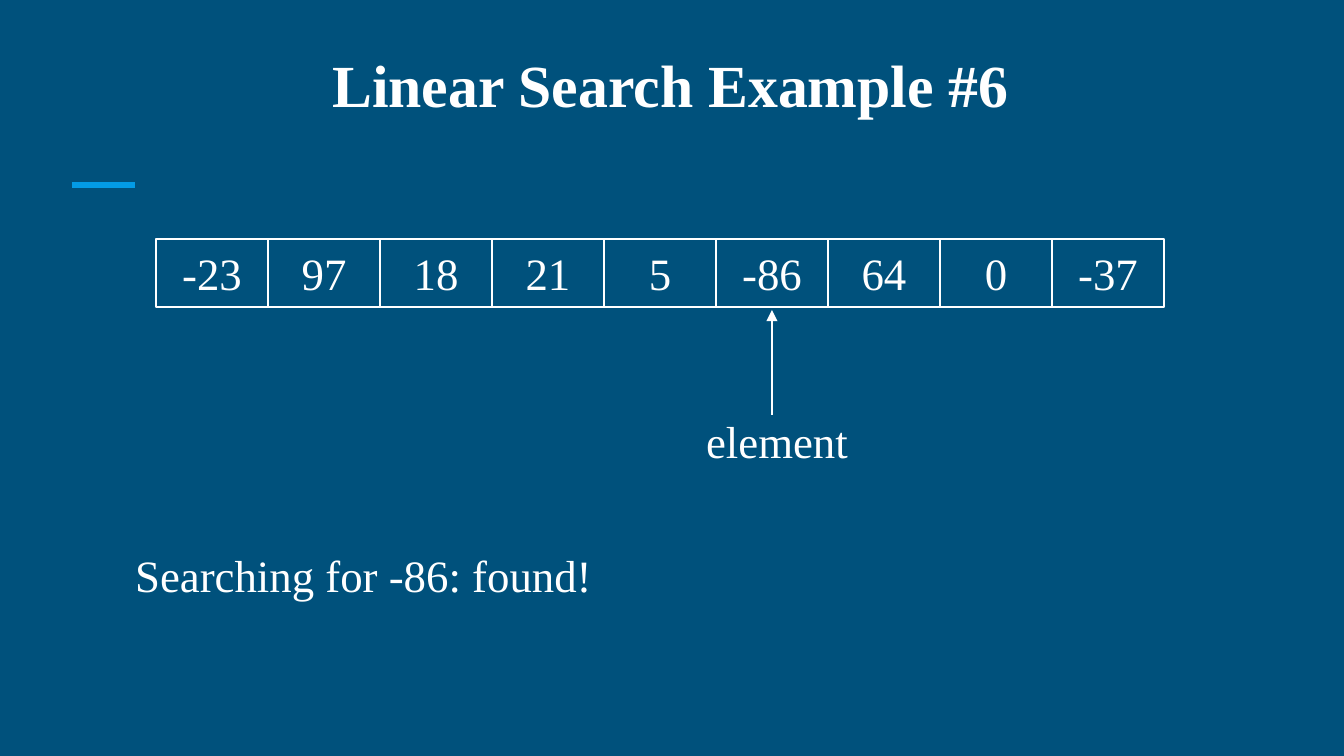
from lxml import etree
from pptx import Presentation
from pptx.dml.color import RGBColor
from pptx.enum.shapes import MSO_CONNECTOR, MSO_SHAPE
from pptx.enum.text import MSO_ANCHOR, MSO_AUTO_SIZE, PP_ALIGN
from pptx.oxml.ns import qn
from pptx.util import Pt

RECT, LINE = MSO_SHAPE.RECTANGLE, MSO_CONNECTOR.STRAIGHT
TOP, BOTTOM = MSO_ANCHOR.TOP, MSO_ANCHOR.BOTTOM
LEFT, CENTER = PP_ALIGN.LEFT, PP_ALIGN.CENTER
FIXED, GROW = MSO_AUTO_SIZE.NONE, MSO_AUTO_SIZE.SHAPE_TO_FIT_TEXT

WIDTH, HEIGHT = 1344, 756
SCALE = 9144000 / WIDTH
TITLE_ONLY = 5
FONT = "Times New Roman"
COLORS = {"back": "00517C", "text": "FFFFFF", "accent": "039BE5"}


def px(n):
    return round(n * SCALE)


def color(name):
    return RGBColor.from_string(COLORS[name])


class Board:
    def __init__(self, deck):
        self.slide = deck.slides.add_slide(deck.slide_layouts[TITLE_ONLY])
        self.shapes = self.slide.shapes
        fill = self.slide.background.fill
        fill.solid()
        fill.fore_color.rgb = color("back")

    def style(self, shape, text, size=24, bold=False, align=CENTER,
              anchor=TOP, fit=GROW):
        frame = shape.text_frame
        frame.text = text
        frame.word_wrap = True
        frame.auto_size = fit
        frame.vertical_anchor = anchor
        para = frame.paragraphs[0]
        para.alignment = align
        font = para.runs[0].font
        font.name, font.size, font.bold = FONT, Pt(size), bold
        font.color.rgb = color("text")

    def title(self, text, x, y, w, h):
        shape = self.shapes.title
        shape.left, shape.top = px(x), px(y)
        shape.width, shape.height = px(w), px(h)
        self.style(shape, text, 32, True, anchor=BOTTOM, fit=FIXED)

    def cell(self, text, x, y, w, h):
        shape = self.shapes.add_shape(RECT, px(x), px(y), px(w), px(h))
        shape.shadow.inherit = False
        shape.fill.background()
        shape.line.color.rgb = color("text")
        shape.line.width = Pt(1)
        self.style(shape, text)

    def label(self, text, x, y, w, h, align=CENTER, group=None):
        parts = group.shapes if group else self.shapes
        box = parts.add_textbox(px(x), px(y), px(w), px(h))
        self.style(box, text, align=align)

    def line(self, x1, y1, x2, y2, name, width, arrow=False, group=None):
        parts = group.shapes if group else self.shapes
        link = parts.add_connector(LINE, px(x1), px(y1), px(x2), px(y2))
        link.line.color.rgb = color(name)
        link.line.width = Pt(width)
        props = link._element.spPr
        if arrow:
            etree.SubElement(props.find(qn("a:ln")), qn("a:tailEnd"),
                             type="triangle")
        etree.SubElement(props, qn("a:effectLst"))


def main():
    deck = Presentation()
    deck.slide_width, deck.slide_height = px(WIDTH), px(HEIGHT)
    board = Board(deck)

    # Heading and accent rule
    board.line(72, 185, 135, 185, "accent", 3)
    board.title("Linear Search Example #6", 56, 51, 1230, 75)

    # Array cells
    values = [-23, 97, 18, 21, 5, -86, 64, 0, -37]
    left, top, wide, high = 156, 239, 112, 68
    for i, value in enumerate(values):
        board.cell(str(value), left + i * wide, top, wide, high)

    # Pointer to the found element
    target = -86
    mid = left + values.index(target) * wide + wide // 2
    group = board.shapes.add_group_shape()
    board.label("element", 672, 407, 210, 52, group=group)
    board.line(mid, 415, mid, 310, "text", 0.75, True, group)

    # Result
    board.label(f"Searching for {target}: found!", 122, 541, 683, 67, LEFT)

    deck.save("out.pptx")


if __name__ == "__main__":
    main()
